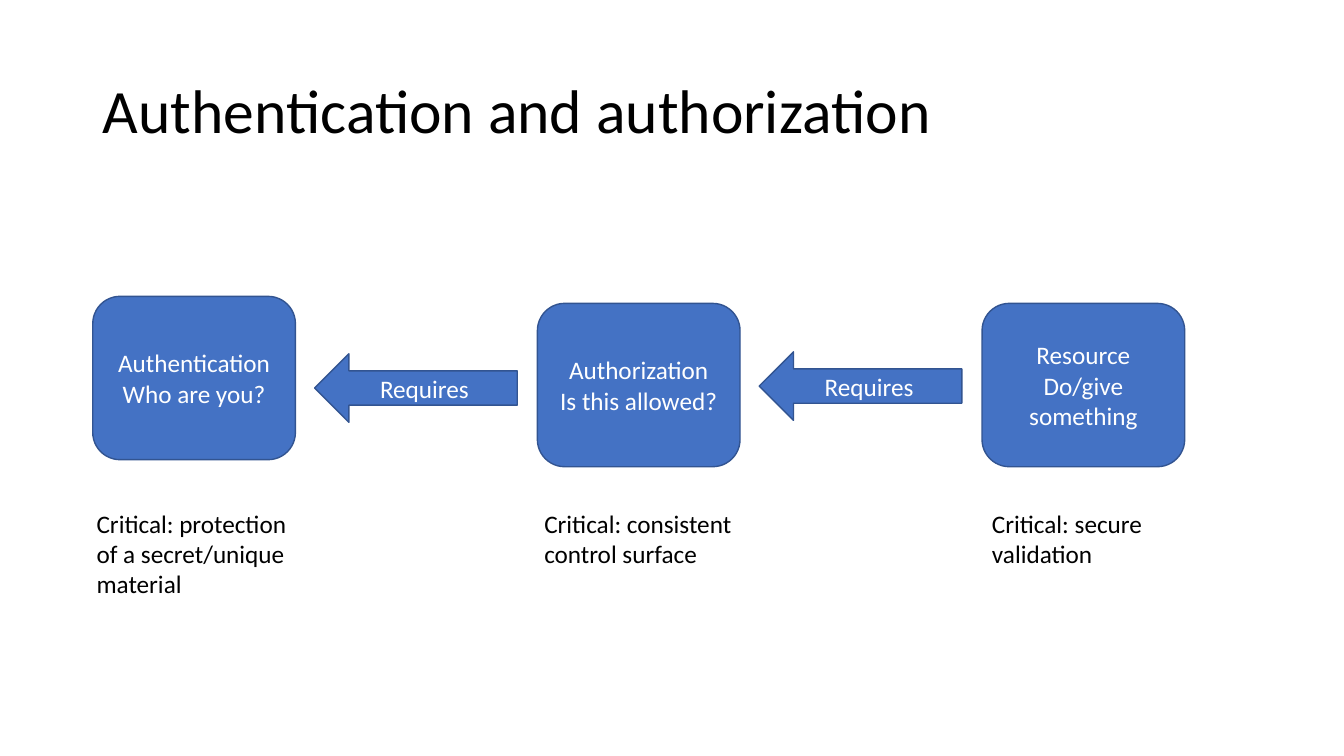
import pptx
import pptx.util
import pptx.dml.color
import pptx.enum.shapes
import pptx.enum.text

Inches = pptx.util.Inches
Shapes = pptx.enum.shapes.MSO_SHAPE
Align = pptx.enum.text.PP_ALIGN
Anchor = pptx.enum.text.MSO_ANCHOR

FIRST_LEFT = 0.92
STEP = 4.41
STAGES = [
    ("Authentication\nWho are you?", 2.94),
    ("Authorization\nIs this allowed?", 3.01),
    ("Resource\nDo/give something", 3.01),
]
ARROW_TOPS = [3.51, 3.49]
NOTES = [
    ("Critical: protection of a secret/unique material", 0.86, 1.01),
    ("Critical: consistent control surface", 5.3, 0.71),
    ("Critical: secure validation", 9.74, 0.71),
]


def color(value):
    return pptx.dml.color.RGBColor.from_string(value)


def write(shape, text, size, ink, align, anchor):
    frame = shape.text_frame
    frame.text = text
    frame.word_wrap = True
    frame.vertical_anchor = anchor
    for para in frame.paragraphs:
        para.alignment = align
        for span in para.runs:
            span.font.name = "Calibri"
            span.font.size = pptx.util.Pt(size)
            span.font.color.rgb = color(ink)


def add_title(page, text):
    title = page.shapes.title
    title.left, title.top = Inches(0.92), Inches(0.4)
    title.width, title.height = Inches(11.5), Inches(1.45)
    write(title, text, 44, "000000", Align.LEFT, Anchor.MIDDLE)
    title.text_frame.paragraphs[0].line_spacing = 0.9


def add_block(page, kind, text, left, top, height):
    block = page.shapes.add_shape(
        kind, Inches(left), Inches(top), Inches(2.01), Inches(height))
    block.shadow.inherit = False
    block.fill.solid()
    block.fill.fore_color.rgb = color("4472C4")
    block.line.color.rgb = color("325491")
    block.line.width = pptx.util.Pt(1)
    write(block, text, 18, "FFFFFF", Align.CENTER, Anchor.MIDDLE)


def add_note(page, text, left, height):
    box = page.shapes.add_textbox(
        Inches(left), Inches(4.99), Inches(2.27), Inches(height))
    write(box, text, 18, "000000", Align.LEFT, Anchor.TOP)


def main():
    deck = pptx.Presentation()
    deck.slide_width, deck.slide_height = Inches(13.33), Inches(7.5)
    page = deck.slides.add_slide(deck.slide_layouts.get_by_name("Title Only"))
    add_title(page, "Authentication and authorization")
    for index, (text, top) in enumerate(STAGES):
        add_block(page, Shapes.ROUNDED_RECTANGLE, text,
                  FIRST_LEFT + index * STEP, top, 1.62)
    for index, top in enumerate(ARROW_TOPS):
        add_block(page, Shapes.LEFT_ARROW, "Requires",
                  FIRST_LEFT + 2.2 + index * STEP, top, 0.68)
    for text, left, height in NOTES:
        add_note(page, text, left, height)
    deck.save("out.pptx")


main()
